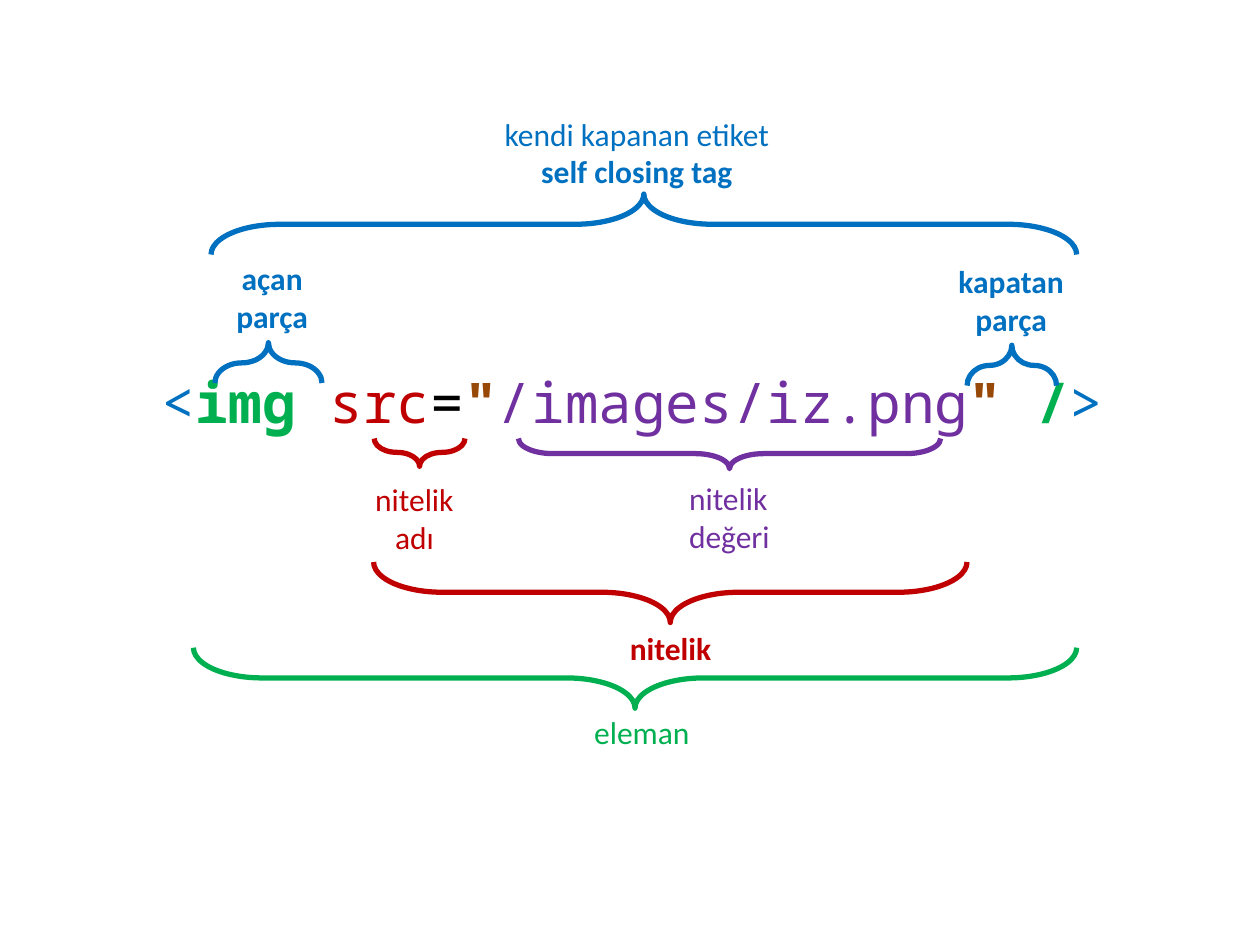
from pptx import Presentation
from pptx.dml.color import RGBColor
from pptx.enum import shapes, text
from pptx.util import Inches, Pt

BLUE, GREEN, RED, PURPLE = "0070C0", "00B050", "C00000", "7030A0"
BROWN, BLACK = "984807", "000000"
CENTER, LEFT = text.PP_ALIGN.CENTER, text.PP_ALIGN.LEFT


def rgb(value):
    """Return the colour for a hex string."""
    return RGBColor.from_string(value)


class Diagram:
    """Holds the style and the current slide."""

    label_font, code_font = "Calibri", "Noto Sans Mono"
    label_size, code_size, line_width = Pt(18), Pt(32), Pt(3)

    def __init__(self, presentation):
        """Add a blank slide to draw on."""
        self.slide = presentation.slides.add_slide(presentation.slide_layouts[6])

    def text_box(self, left, top, width, height, wrap):
        """Add an empty text box and return its frame."""
        box = self.slide.shapes.add_textbox(*map(Inches, (left, top, width, height)))
        frame = box.text_frame
        frame.word_wrap = wrap
        frame.auto_size = text.MSO_AUTO_SIZE.SHAPE_TO_FIT_TEXT
        return frame

    def style(self, run, font, size, color, bold):
        """Format one run."""
        run.font.name, run.font.size, run.font.bold = font, size, bold
        run.font.color.rgb = rgb(color)

    def code(self, left, top, width, height, parts):
        """Add a centred line of coloured code."""
        paragraph = self.text_box(left, top, width, height, True).paragraphs[0]
        paragraph.alignment = CENTER
        for content, color, bold in parts:
            run = paragraph.add_run()
            run.text = content
            self.style(run, self.code_font, self.code_size, color, bold)

    def label(self, left, top, width, lines, color, bold_lines=(), first=CENTER):
        """Add a label with one paragraph per line."""
        height = 0.4 if len(lines) == 1 else 0.71
        frame = self.text_box(left, top, width, height, False)
        frame.text = "\n".join(lines)
        for index, paragraph in enumerate(frame.paragraphs):
            paragraph.alignment = CENTER if index else first
            self.style(paragraph.runs[0], self.label_font, self.label_size,
                       color, index in bold_lines)

    def brace(self, center_x, center_y, span, depth, color, rotation):
        """Add a brace turned about its centre."""
        shape = self.slide.shapes.add_shape(
            shapes.MSO_SHAPE.LEFT_BRACE,
            Inches(center_x - depth / 2), Inches(center_y - span / 2),
            Inches(depth), Inches(span))
        shape.rotation = rotation
        shape.adjustments[0], shape.adjustments[1] = 1.134, 0.5
        shape.shadow.inherit = False
        shape.fill.background()
        shape.line.color.rgb = rgb(color)
        shape.line.width = self.line_width


UP, DOWN = 90, 270
presentation = Presentation()
presentation.slide_width, presentation.slide_height = Inches(10), Inches(7.5)
diagram = Diagram(presentation)

diagram.code(0.02, 2.87, 10, 0.66, [
    ("<", BLUE, False), ("img ", GREEN, True), ("src", RED, False),
    ("=", BLACK, False), ('"', BROWN, True), ("/images/iz.png", PURPLE, False),
    ('" ', BROWN, True), ("/", GREEN, True), (">", BLUE, False)])

for brace in (
        (5.11, 1.78, 6.87, 0.48, BLUE, UP),
        (2.13, 2.88, 0.85, 0.32, BLUE, UP),
        (8.03, 2.9, 0.71, 0.32, BLUE, UP),
        (3.33, 3.59, 0.72, 0.22, RED, DOWN),
        (5.79, 3.6, 3.35, 0.24, PURPLE, DOWN),
        (5.32, 4.7, 4.71, 0.48, RED, DOWN),
        (5.04, 5.38, 7.01, 0.48, GREEN, DOWN)):
    diagram.brace(*brace)

for label in (
        (3.89, 0.86, 2.33, ["kendi kapanan etiket", "self closing tag"], BLUE, (1,)),
        (1.77, 2.01, 0.78, ["açan", "parça"], BLUE, (0, 1)),
        (7.5, 2.03, 1.05, ["kapatan", "parça"], BLUE, (0, 1)),
        (2.88, 3.76, 0.83, ["nitelik", "adı"], RED, (), LEFT),
        (5.37, 3.75, 0.85, ["nitelik", "değeri"], PURPLE, (), LEFT),
        (4.9, 4.94, 0.85, ["nitelik"], RED, (0,), LEFT),
        (4.61, 5.61, 0.97, ["eleman"], GREEN)):
    diagram.label(*label)

presentation.save("out.pptx")
